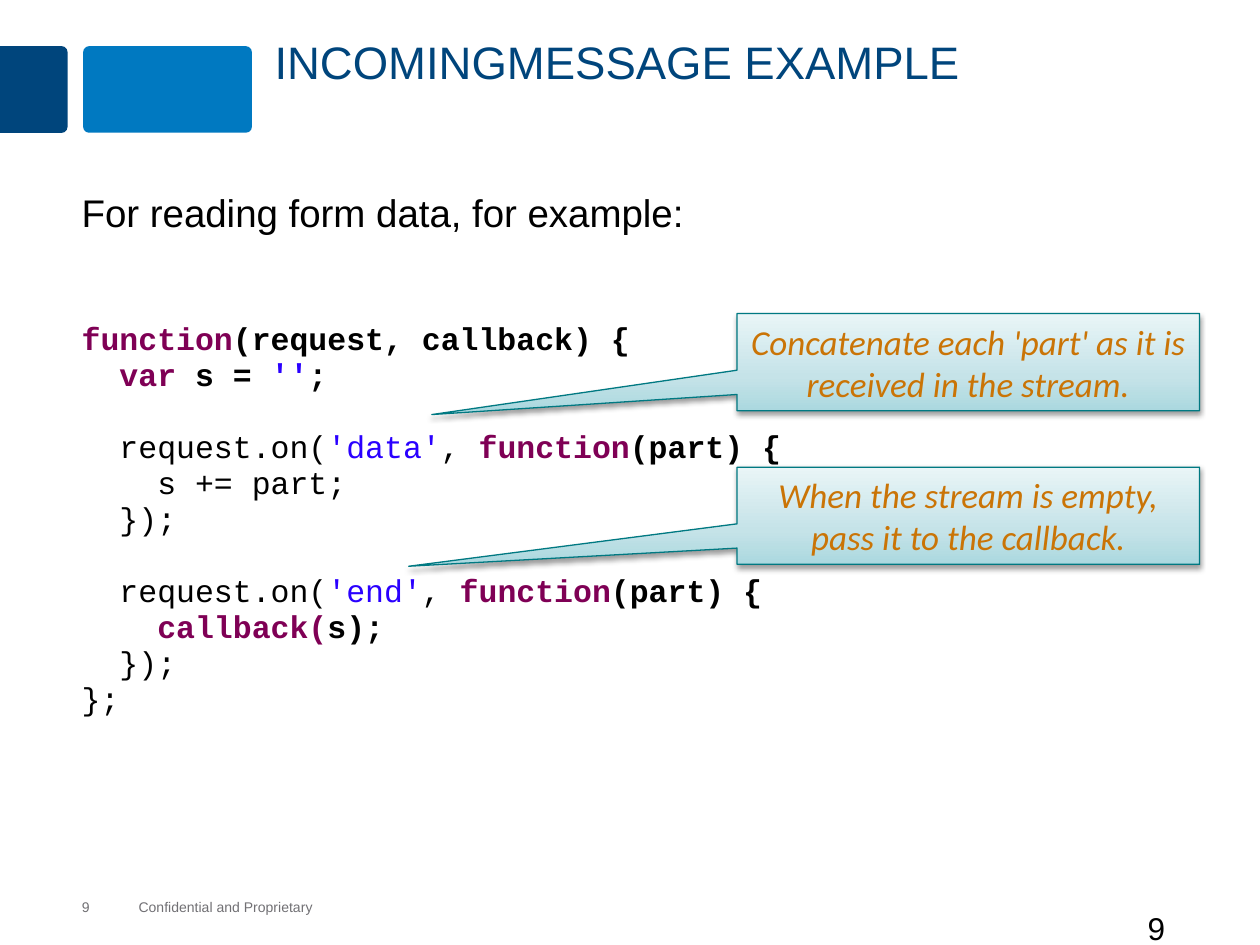
from dataclasses import dataclass

from lxml.etree import SubElement
from pptx import Presentation
from pptx.dml.color import RGBColor
from pptx.enum.shapes import MSO_SHAPE
from pptx.enum.text import MSO_ANCHOR, PP_ALIGN
from pptx.oxml import parse_xml
from pptx.oxml.ns import nsdecls, qn
from pptx.util import Pt


@dataclass(frozen=True)
class Theme:
    navy: str = "00457C"
    blue: str = "0079C1"
    black: str = "000000"
    grey: str = "717074"
    keyword: str = "7F0055"
    string: str = "2A00FF"
    callout_text: str = "CA7406"
    callout_line: str = "007982"
    callout_stops: tuple = ((0, "ABD8DF"), (35, "C5E3E8"), (100, "E9F5F7"))
    sans: str = "Arial"
    mono: str = "Courier New"
    note: str = "Calibri"
    title_size: float = 26
    body_size: float = 22
    note_size: float = 20
    code_size: float = 18
    footer_size: float = 8


# Each line is a list of (text, style); styles are looked up in SlideBuilder.code.
CODE = [
    [("function", "keyword"), ("(request, callback) {", "bold")],
    [("  ", "bold"), ("var", "keyword"), (" s = ", "bold"), ("''", "string bold"),
     (";", "bold")],
    [],
    [("  request.on(", "plain"), ("'data'", "string"), (", ", "plain"),
     ("function", "keyword"), ("(part) {", "bold")],
    [("    s += part;", "plain")],
    [("  });", "plain")],
    [],
    [("  request.on(", "plain"), ("'end'", "string"), (", ", "plain"),
     ("function", "keyword"), ("(part) {", "bold")],
    [("    ", "bold"), ("callback(", "keyword"), ("s);", "bold")],
    [("  });", "plain")],
    [("};", "plain")],
]


class SlideBuilder:
    def __init__(self, slide, theme):
        self.slide = slide
        self.theme = theme

    def format_run(self, run, font, size, color, bold=False, italic=False):
        run.font.name = font
        run.font.size = Pt(size)
        run.font.bold = bold
        run.font.italic = italic
        run.font.color.rgb = RGBColor.from_string(color)

    def shape(self, preset, box, adjustments):
        shape = self.slide.shapes.add_shape(preset, *map(Pt, box))
        shape.shadow.inherit = False
        for index, value in enumerate(adjustments):
            shape.adjustments[index] = value
        return shape

    def block(self, preset, box, adjustments, color, rotation=0):
        block = self.shape(preset, box, adjustments)
        block.rotation = rotation
        block.fill.solid()
        block.fill.fore_color.rgb = RGBColor.from_string(color)
        block.line.fill.background()

    def text(self, box, words, size, color, spacing=None, wrap=True):
        frame = self.slide.shapes.add_textbox(*map(Pt, box)).text_frame
        frame.word_wrap = wrap
        frame.text = words
        paragraph = frame.paragraphs[0]
        paragraph.line_spacing = spacing
        self.format_run(paragraph.runs[0], self.theme.sans, size, color)
        return frame

    def footer(self, box, words, wrap=True):
        frame = self.text(box, words, self.theme.footer_size, self.theme.grey, wrap=wrap)
        frame.margin_left = frame.margin_right = 0
        frame.margin_top = frame.margin_bottom = 0
        frame.vertical_anchor = MSO_ANCHOR.MIDDLE

    def code(self, frame, lines):
        """Add the listing as one paragraph below the text already in the frame."""
        theme = self.theme
        styles = {
            "plain": (theme.black, False),
            "bold": (theme.black, True),
            "keyword": (theme.keyword, True),
            "string": (theme.string, False),
            "string bold": (theme.string, True),
        }
        paragraph = frame.add_paragraph()
        paragraph.space_before = Pt(48.2)
        paragraph.line_spacing = Pt(20.57)
        for number, line in enumerate(lines):
            if number:
                paragraph.add_line_break()
            for words, style in line:
                run = paragraph.add_run()
                run.text = words
                color, bold = styles[style]
                self.format_run(run, theme.mono, theme.code_size, color, bold)

    def callout(self, box, tip, words):
        theme = self.theme
        callout = self.shape(MSO_SHAPE.RECTANGULAR_CALLOUT, box, tip)
        callout.line.color.rgb = RGBColor.from_string(theme.callout_line)
        callout.line.width = Pt(0.75)
        self.gradient(callout)
        self.soft_shadow(callout)
        frame = callout.text_frame
        frame.word_wrap = True
        frame.vertical_anchor = MSO_ANCHOR.MIDDLE
        frame.text = words
        paragraph = frame.paragraphs[0]
        paragraph.alignment = PP_ALIGN.CENTER
        paragraph.space_before = Pt(4)
        self.format_run(paragraph.runs[0], theme.note, theme.note_size,
                        theme.callout_text, italic=True)

    def gradient(self, shape):
        """Fill from bottom to top with the three callout colours."""
        stops = "".join(
            f'<a:gs pos="{percent * 1000}"><a:srgbClr val="{color}"/></a:gs>'
            for percent, color in self.theme.callout_stops)
        fill = parse_xml(
            f'<a:gradFill {nsdecls("a")} rotWithShape="1"><a:gsLst>{stops}</a:gsLst>'
            '<a:lin ang="16200000" scaled="0"/></a:gradFill>')
        shape.element.spPr.find(qn("a:prstGeom")).addnext(fill)

    def soft_shadow(self, shape):
        effects = shape.element.spPr.find(qn("a:effectLst"))
        shadow = SubElement(effects, qn("a:outerShdw"), blurRad=str(Pt(3.1)),
                            dist=str(Pt(1.6)), dir="5400000", rotWithShape="0")
        color = SubElement(shadow, qn("a:srgbClr"), val=self.theme.black)
        SubElement(color, qn("a:alpha"), val="38000")


def main():
    theme = Theme()
    deck = Presentation()
    deck.slide_width, deck.slide_height = Pt(720), Pt(540)
    builder = SlideBuilder(deck.slides.add_slide(deck.slide_layouts[6]), theme)

    builder.block(MSO_SHAPE.ROUND_2_SAME_RECTANGLE, (-5.7, 31.7, 49.7, 38.9),
                  (0.09, 0), theme.navy, rotation=90)
    builder.block(MSO_SHAPE.ROUNDED_RECTANGLE, (47.5, 26.4, 96.5, 49.5),
                  (0.07,), theme.blue)
    builder.footer((79.2, 513.4, 100.8, 9.4), "Confidential and Proprietary", wrap=False)
    builder.footer((46.8, 513.4, 45.4, 9.4), "9")

    body = builder.text((39.6, 106.6, 638.6, 379.4), "For reading form data, for example:",
                        theme.body_size, theme.black, spacing=0.95)
    builder.code(body, CODE)
    builder.text((149.8, 18, 552.2, 65.5), "INCOMINGMESSAGE EXAMPLE",
                 theme.title_size, theme.navy, spacing=0.95)
    builder.text((648.7, 516.2, 71.3, 36), "9", theme.code_size, theme.black)

    notes = [
        (179.2, (-1.16, 0.54), "Concatenate each 'part' as it is received in the stream."),
        (267, (-1.21, 0.52), "When the stream is empty, pass it to the callback."),
    ]
    for top, tip, words in notes:
        builder.callout((421.2, top, 264.3, 55.5), tip, words)

    deck.save("out.pptx")


if __name__ == "__main__":
    main()
